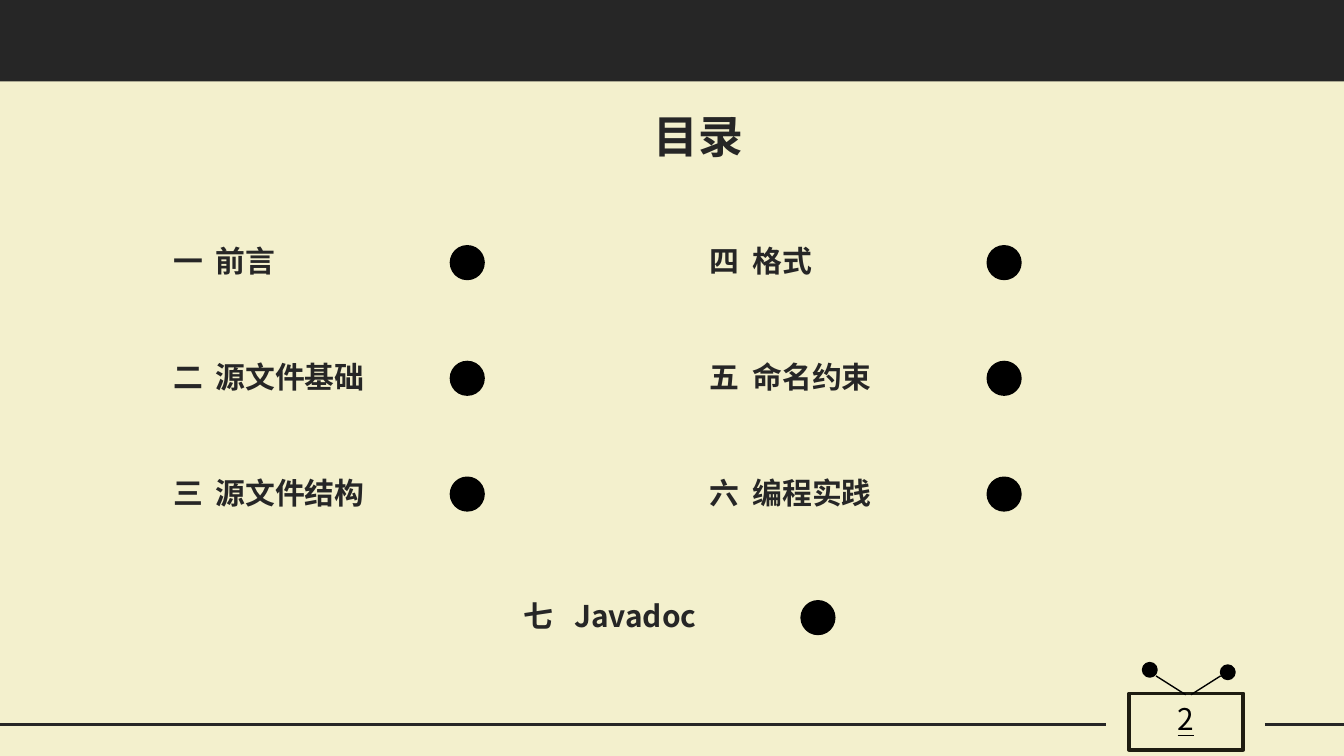
from dataclasses import dataclass

from lxml import etree
from pptx import Presentation
from pptx.dml.color import RGBColor
from pptx.enum.shapes import MSO_CONNECTOR, MSO_SHAPE
from pptx.enum.text import MSO_ANCHOR, MSO_AUTO_SIZE, PP_ALIGN
from pptx.oxml.ns import qn
from pptx.util import Pt

RECT, OVAL = MSO_SHAPE.RECTANGLE, MSO_SHAPE.OVAL
LINE = MSO_CONNECTOR.STRAIGHT
LEFT, CENTER = PP_ALIGN.LEFT, PP_ALIGN.CENTER
TOP, GROW = MSO_ANCHOR.TOP, MSO_AUTO_SIZE.SHAPE_TO_FIT_TEXT


@dataclass(frozen=True)
class Theme:
    paper: str = "F3F0CD"
    dark: str = "262626"
    frame: str = "1E1C11"
    black: str = "000000"
    sans: str = "Noto Sans CJK SC"
    alt: str = "Noto Sans CJK JP"
    head: int = 24
    body: int = 16


T = Theme()
WIDTH, HEIGHT = 720, 405
ITEMS = [
    ("一", "前言", T.sans), ("二", "源文件基础", T.alt),
    ("三", "源文件结构", T.alt), ("四", "格式", T.sans),
    ("五", "命名约束", T.sans), ("六", "编程实践", T.sans),
]
LAST = ("七", "Javadoc", T.sans)


def color(code):
    return RGBColor.from_string(code)


def add_shape(slide, kind, box, fill=None, line=None):
    shape = slide.shapes.add_shape(kind, *map(Pt, box))
    shape.shadow.inherit = False
    if fill:
        shape.fill.solid()
        shape.fill.fore_color.rgb = color(fill)
    else:
        shape.fill.background()
    if line:
        shape.line.color.rgb = color(line)
        shape.line.width = Pt(2)
    else:
        shape.line.fill.background()
    return shape


def add_dot(slide, x, y, size):
    return add_shape(slide, OVAL, (x, y, size, size), T.black, T.black)


def add_line(slide, ends, tone, width):
    line = slide.shapes.add_connector(LINE, *map(Pt, ends))
    line.line.color.rgb = color(tone)
    line.line.width = Pt(width)
    etree.SubElement(line._element.spPr, qn("a:effectLst"))


def add_run(para, text, face, size, tone, bold=False):
    run = para.add_run()
    run.text = text
    font = run.font
    font.name, font.size, font.bold = face, Pt(size), bold
    font.color.rgb = color(tone)
    east = etree.SubElement(font._element, qn("a:ea"))
    east.set("typeface", face)
    return run


def set_frame(shape, wrap, align=LEFT):
    """Set up the text frame and return its first paragraph."""
    frame = shape.text_frame
    frame.word_wrap, frame.auto_size = wrap, GROW
    frame.vertical_anchor = TOP
    para = frame.paragraphs[0]
    para.alignment = align
    return para


def add_tab(para, stop):
    props = para._p.get_or_add_pPr()
    tabs = etree.SubElement(props, qn("a:tabLst"))
    etree.SubElement(tabs, qn("a:tab"), pos=str(Pt(stop)), algn="l")


def set_title(slide, box, text):
    title = slide.shapes.title
    title.left, title.top, title.width, title.height = map(Pt, box)
    add_run(set_frame(title, False), text, T.sans, T.head, T.dark, True)


def add_item(slide, x, y, item, stop=22.8):
    """Place a numbered entry with a dot at its right."""
    num, name, face = item
    box = slide.shapes.add_textbox(Pt(x), Pt(y), Pt(156.2), Pt(28))
    para = set_frame(box, True)
    add_tab(para, stop)
    add_run(para, num + "\t", T.sans, T.body, T.dark, True)
    add_run(para, name, face, T.body, T.dark, True)
    add_dot(slide, x + 156.2, y + 5.6, 16.8)


def add_list(slide, x, y, items):
    """Fill two columns of three entries, column by column."""
    for i, item in enumerate(items):
        col, row = divmod(i, 3)
        add_item(slide, x + col * 287.6, y + row * 62, item)


def add_screen(slide, box, page):
    """Draw the television with aerials that holds the page number."""
    x, y, w, h = box
    add_shape(slide, RECT, box, line=T.frame)
    text = slide.shapes.add_textbox(
        Pt(x + w / 2 - 13.8), Pt(y + 0.5), Pt(27.4), Pt(28))
    run = add_run(set_frame(text, False, CENTER), page, T.alt, T.body, T.black)
    run.font.underline = True
    mid = x + w / 2 + 1.2
    for side, dot_x, dot_y in ((-1, 7.9, -15.9), (1, 49.7, -14.6)):
        ends = (mid + side * 17.3, y - 9.4, mid + side * 1.4, y + 0.7)
        add_line(slide, ends, T.black, 0.75)
        add_dot(slide, x + dot_x, y + dot_y, 6.5)


def add_foot(slide, y):
    for start, end in ((0, 592.6), (677.6, WIDTH)):
        add_line(slide, (start, y, end, y), T.dark, 1.75)
    add_screen(slide, (604.8, y - 16.6, 61.2, 30.2), "2")


def build():
    deck = Presentation()
    deck.slide_width, deck.slide_height = Pt(WIDTH), Pt(HEIGHT)
    slide = deck.slides.add_slide(deck.slide_layouts[5])
    slide.background.fill.solid()
    slide.background.fill.fore_color.rgb = color(T.paper)
    add_shape(slide, RECT, (0, 0, WIDTH, 43.7), T.dark)
    set_title(slide, (342.9, 54.7, 63.4, 36), "目录")
    add_list(slide, 85.7, 126.7, ITEMS)
    add_item(slide, 273.6, 316.9, LAST, 27)
    add_foot(slide, 388.1)
    deck.save("out.pptx")


if __name__ == "__main__":
    build()
